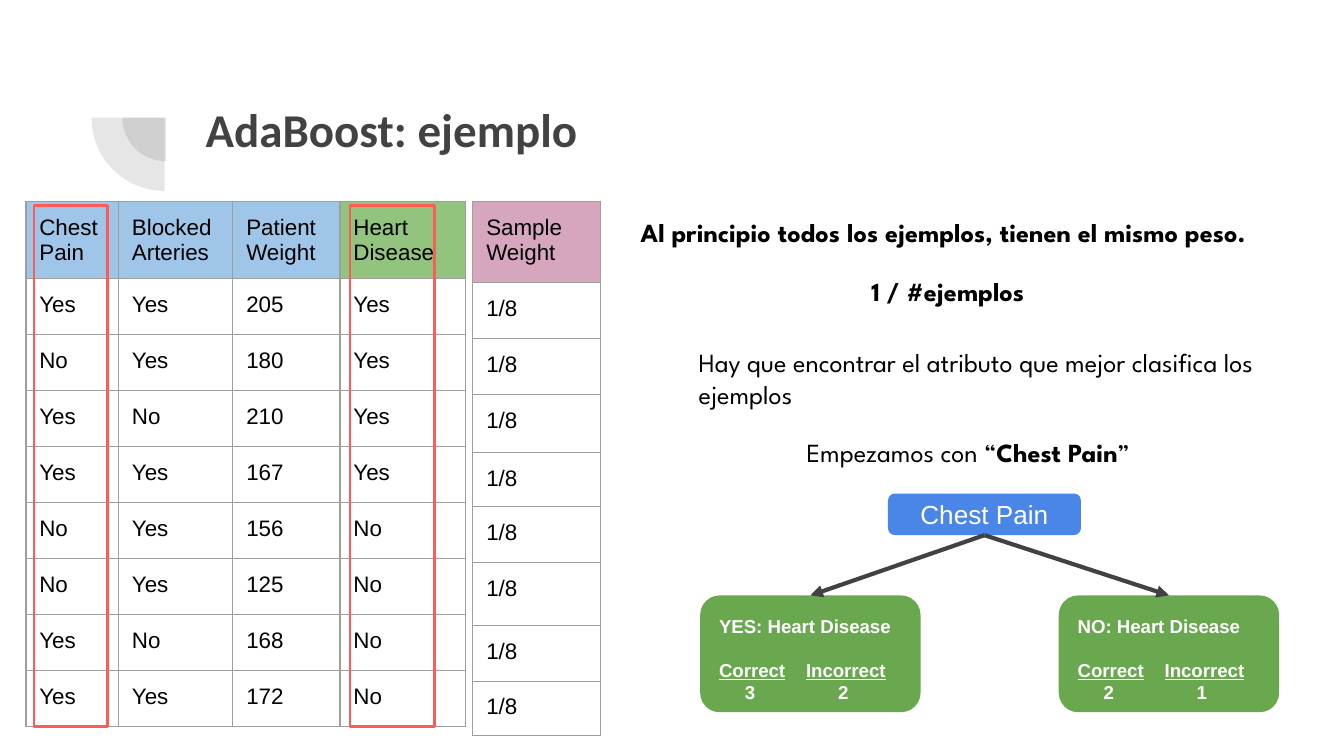
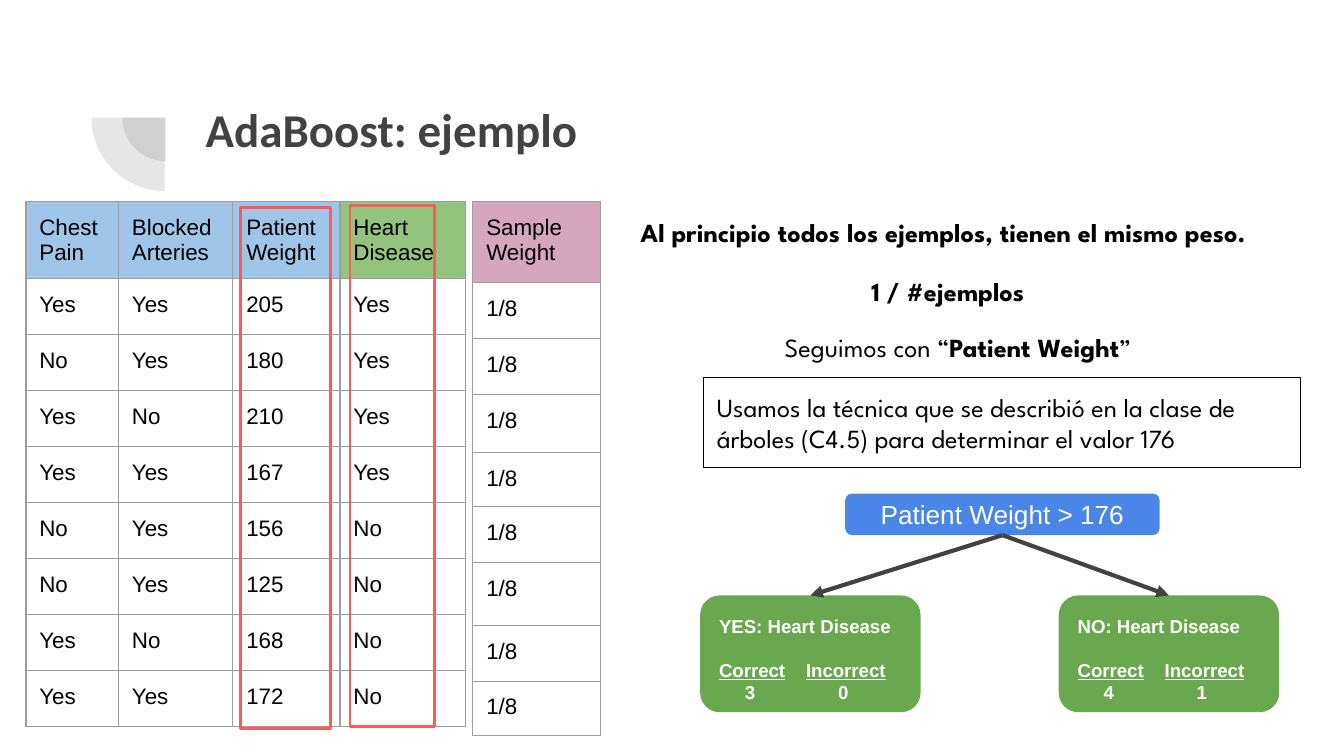
import pptx
import pptx.util
import pptx.dml.color
import pptx.enum.shapes
import pptx.enum.text
import pptx.oxml
import pptx.oxml.ns

Pt = pptx.util.Pt
SHAPES = pptx.enum.shapes.MSO_SHAPE
ANCHOR = pptx.enum.text.MSO_ANCHOR
ALIGN = pptx.enum.text.PP_ALIGN
FIT = pptx.enum.text.MSO_AUTO_SIZE
NAMESPACE = pptx.oxml.ns.nsdecls("a")

DARK, BLACK, WHITE = "424242", "000000", "FFFFFF"
BLUE, GREEN, RED, GRID = "4A86E8", "6AA84F", "FD5B58", "9E9E9E"
ATTRIBUTE, TARGET, WEIGHT = "9FC5E8", "93C47D", "D5A6BD"

TITLE = {"name": "Calibri", "size": Pt(25.2), "bold": True}
CELL = {"name": "Arial", "size": Pt(12), "bold": False}
BODY = {"name": "League Spartan", "size": Pt(14), "bold": False}
ROOT = {"name": "Arial", "size": Pt(14), "bold": False}
LEAF = {"name": "Arial", "size": Pt(10), "bold": True}
BOLD = {"bold": True}
MARGINS = dict.fromkeys(("margin_left", "margin_top", "margin_right", "margin_bottom"), Pt(7.2))

PATIENTS = [
    ["Chest Pain", "Blocked Arteries", "Patient Weight", "Heart Disease"],
    ["Yes", "Yes", "205", "Yes"],
    ["No", "Yes", "180", "Yes"],
    ["Yes", "No", "210", "Yes"],
    ["Yes", "Yes", "167", "Yes"],
    ["No", "Yes", "156", "No"],
    ["No", "Yes", "125", "No"],
    ["Yes", "No", "168", "No"],
    ["Yes", "Yes", "172", "No"],
]
SAMPLE_WEIGHTS = [["Sample Weight"]] + [["1/8"]] * 8
SAMPLE_HEIGHTS = [43.4, 30, 30, 31, 29, 30, 33.6, 30, 29]


def color(code):
    return pptx.dml.color.RGBColor.from_string(code)


def assign(target, values):
    for name, value in values.items():
        setattr(target, name, value)


def points(box):
    return [Pt(length) for length in box]


class Deck:
    def __init__(self):
        self.presentation = pptx.Presentation()
        assign(self.presentation, {"slide_width": Pt(720), "slide_height": Pt(405)})
        self.slide = None

    def new_slide(self, heading):
        layout = self.presentation.slide_layouts[5]
        self.slide = self.presentation.slides.add_slide(layout)
        for left, top, size in ((65.5, 39.6, 46.8), (49, 23.8, 78.5)):
            quarter = self.shape(SHAPES.PIE, (left, top, size, size), fill=DARK, opacity=13)
            quarter.rotation = 270
            quarter.adjustments[0], quarter.adjustments[1] = 108, 162
        title = self.slide.shapes.title
        assign(title, dict(zip(("left", "top", "width", "height"), points((103, 46.8, 553.7, 44.6)))))
        self.fill_text(title.text_frame, [[(heading, {})]], TITLE, DARK)

    def fill_text(self, frame, paragraphs, style, ink, anchor=ANCHOR.TOP, align=ALIGN.LEFT, fit=FIT.NONE):
        assign(frame, {**MARGINS, "word_wrap": True, "auto_size": fit, "vertical_anchor": anchor})
        for index, runs in enumerate(paragraphs):
            paragraph = frame.add_paragraph() if index else frame.paragraphs[0]
            paragraph.alignment = align
            for text, changes in runs:
                run = paragraph.add_run()
                run.text = text
                assign(run.font, {**style, **changes})
                run.font.color.rgb = color(ink)

    def text(self, box, *runs):
        frame = self.slide.shapes.add_textbox(*points(box)).text_frame
        self.fill_text(frame, [runs], BODY, BLACK, fit=FIT.SHAPE_TO_FIT_TEXT)

    def shape(self, kind, box, fill=None, line=None, width=0.75, opacity=None):
        shape = self.slide.shapes.add_shape(kind, *points(box))
        shape.shadow.inherit = False
        if fill:
            shape.fill.solid()
            shape.fill.fore_color.rgb = color(fill)
        else:
            shape.fill.background()
        if opacity:
            tint = shape._element.spPr.find(".//" + pptx.oxml.ns.qn("a:srgbClr"))
            tint.append(pptx.oxml.parse_xml(f'<a:alpha {NAMESPACE} val="{opacity * 1000}"/>'))
        if line:
            shape.line.color.rgb = color(line)
            shape.line.width = Pt(width)
        else:
            shape.line.fill.background()
        return shape

    def table(self, left, top, rows, widths, heights, header_fills):
        frame = self.slide.shapes.add_table(
            len(rows), len(widths), *points((left, top, sum(widths), sum(heights))))
        table = frame.table
        assign(table, {"first_row": False, "horz_banding": False})
        for column, width in zip(table.columns, widths):
            column.width = Pt(width)
        for row, height in zip(table.rows, heights):
            row.height = Pt(height)
        for row_index, values in enumerate(rows):
            for column_index, value in enumerate(values):
                cell = table.cell(row_index, column_index)
                self.fill_text(cell.text_frame, [[(value, {})]], CELL, BLACK)
                assign(cell, MARGINS)
                self.borders(cell)
                if row_index:
                    cell.fill.background()
                else:
                    cell.fill.solid()
                    cell.fill.fore_color.rgb = color(header_fills[column_index])

    def borders(self, cell):
        properties = cell._tc.get_or_add_tcPr()
        for side in ("lnL", "lnR", "lnT", "lnB"):
            properties.append(pptx.oxml.parse_xml(
                f'<a:{side} {NAMESPACE} w="{Pt(0.75)}"><a:solidFill>'
                f'<a:srgbClr val="{GRID}"/></a:solidFill></a:{side}>'))

    def tabs(self, paragraph, *stops):
        marks = "".join(f'<a:tab pos="{Pt(stop)}" algn="l"/>' for stop in stops)
        paragraph._p.get_or_add_pPr().append(
            pptx.oxml.parse_xml(f"<a:tabLst {NAMESPACE}>{marks}</a:tabLst>"))

    def leaf(self, left, answer, correct, incorrect):
        leaf = self.shape(SHAPES.ROUNDED_RECTANGLE, (left, 319, 118.1, 62.6), fill=GREEN)
        frame = leaf.text_frame
        self.fill_text(frame, [
            [(f"{answer}: Heart Disease", {})],
            [("Correct\tIncorrect", {"underline": True})],
            [(f"\t{correct}\t{incorrect}", {})],
        ], LEAF, WHITE)
        _, labels, counts = frame.paragraphs
        labels.space_before = Pt(11.5)
        self.tabs(labels, 46.6)
        self.tabs(counts, 13.9, 63.8)
        return leaf

    def arrow(self, parent, child):
        arrow = self.slide.shapes.add_connector(
            pptx.enum.shapes.MSO_CONNECTOR.STRAIGHT, 0, 0, 0, 0)
        arrow.begin_connect(parent, 2)
        arrow.end_connect(child, 0)
        arrow.line.color.rgb = color(DARK)
        arrow.line.width = Pt(2.25)
        properties = arrow._element.spPr
        properties.find(pptx.oxml.ns.qn("a:ln")).append(
            pptx.oxml.parse_xml(f'<a:tailEnd {NAMESPACE} type="triangle"/>'))
        properties.append(pptx.oxml.parse_xml(f"<a:effectLst {NAMESPACE}/>"))

    def stump(self, question, left, width, yes_counts, no_counts):
        root = self.shape(SHAPES.ROUNDED_RECTANGLE, (left, 264.4, width, 22.3), fill=BLUE)
        self.fill_text(root.text_frame, [[(question, {})]], ROOT, WHITE, ANCHOR.MIDDLE, ALIGN.CENTER)
        leaves = [self.leaf(375.1, "YES", *yes_counts), self.leaf(567.2, "NO", *no_counts)]
        for leaf in leaves:
            self.arrow(root, leaf)

    def highlight(self, left, top, width):
        self.shape(SHAPES.RECTANGLE, (left, top, width, 279), line=RED, width=1.5)

    def example(self):
        self.new_slide("AdaBoost: ejemplo")
        self.table(13.9, 108, PATIENTS, [49.6, 61.3, 57.4, 67.2], [30] * 9, [ATTRIBUTE] * 3 + [TARGET])
        self.table(253.3, 108, SAMPLE_WEIGHTS, [68.6], SAMPLE_HEIGHTS, [WEIGHT])
        self.text((336.2, 108.7, 365, 31.7),
                  ("Al principio todos los ejemplos, tienen el mismo peso.", BOLD))
        self.text((459.7, 140.4, 118.1, 31.7), ("1 / #ejemplos", BOLD))
        self.highlight(187.5, 110.2, 45.2)


def main():
    deck = Deck()

    deck.example()
    deck.text((367.2, 178.6, 319.7, 48.2),
              ("Hay que encontrar el atributo que mejor clasifica los ejemplos", {}))
    deck.text((425, 226.8, 204.5, 31.7), ("Empezamos con “", {}), ("Chest Pain", BOLD), ("”", {}))
    deck.stump("Chest Pain", 475.7, 103.4, (3, 2), (2, 1))
    deck.highlight(18.2, 110.2, 39.5)

    deck.example()
    deck.text((413.3, 170.6, 229, 31.7), ("Seguimos con “", {}), ("Patient Weight", BOLD), ("”", {}))
    deck.stump("Patient Weight > 176", 452.8, 168.5, (3, 0), (4, 1))
    deck.highlight(128.8, 111.3, 48.3)
    technique = deck.shape(SHAPES.RECTANGLE, (377, 202.4, 319.7, 48.2), line=BLACK)
    deck.fill_text(technique.text_frame, [[(
        "Usamos la técnica que se describió en la clase de árboles (C4.5) para determinar el valor 176",
        {})]], BODY, BLACK, fit=FIT.SHAPE_TO_FIT_TEXT)

    deck.presentation.save("out.pptx")


if __name__ == "__main__":
    main()
